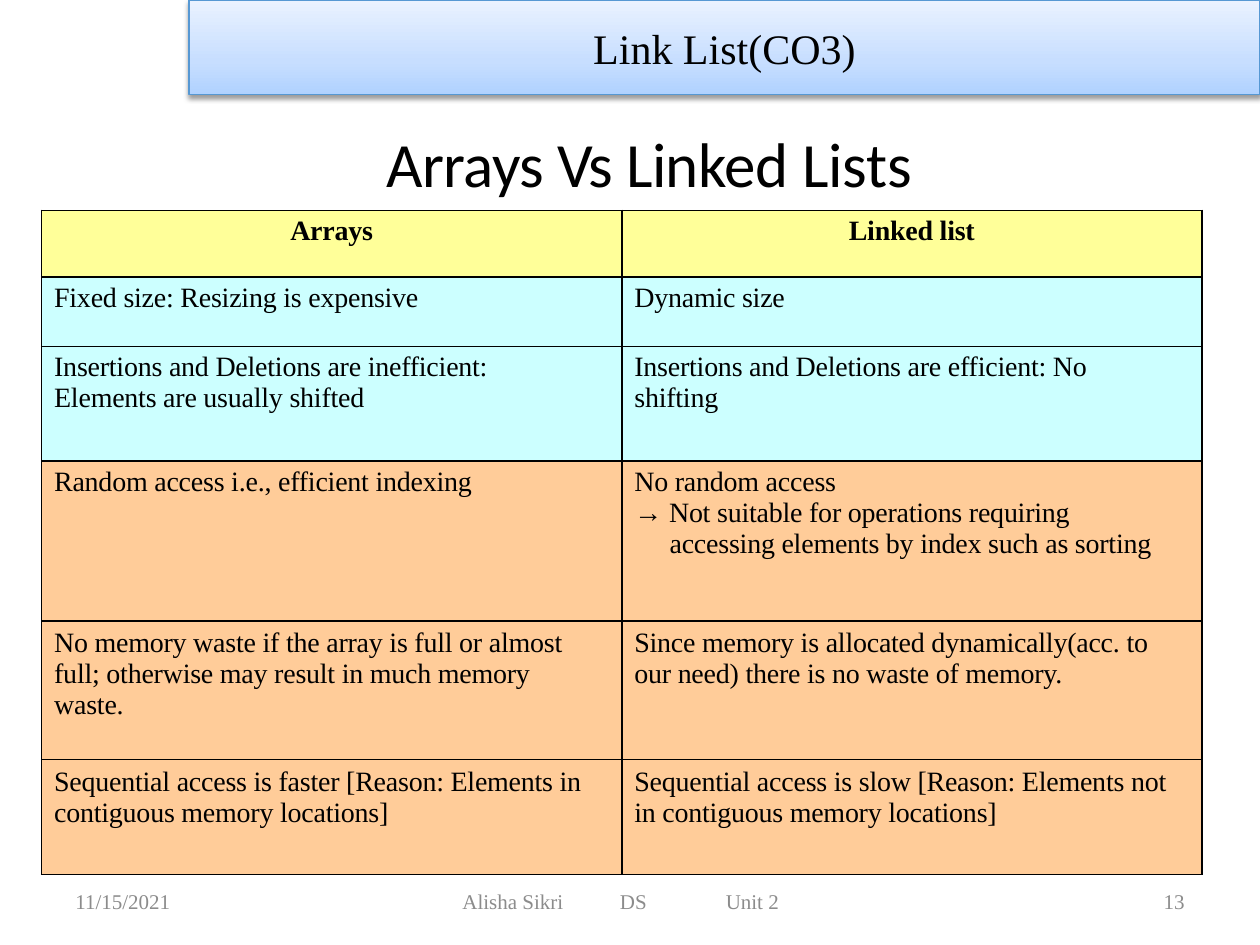
from copy import deepcopy
from dataclasses import dataclass
from pptx import Presentation
from pptx.dml.color import RGBColor
from pptx.enum.shapes import MSO_SHAPE
from pptx.enum.text import MSO_ANCHOR, MSO_AUTO_SIZE, PP_ALIGN
from pptx.oxml import parse_xml
from pptx.oxml.ns import nsdecls, qn
from pptx.util import Inches, Pt

WIDE, HIGH = 10, 7.5


@dataclass(frozen=True)
class Theme:
    """Colours, fonts and type sizes of the slide."""
    serif: str = "Times New Roman"
    sans: str = "Calibri"
    sign: str = "Arial"
    ink: str = "000000"
    grey: str = "8C8C8C"
    head: str = "FFFF99"
    good: str = "CCFFFF"
    warm: str = "FFCC99"
    edge: str = "5698D3"
    fade: tuple = ((0, "B0D2FF"), (0.35, "C7DEFF"), (1, "EAF2FF"))
    title: int = 36
    banner: int = 24
    body: int = 16
    foot: int = 12


THEME = Theme()
ROWS = [
    (0.53, THEME.head, "Arrays", "Linked list"),
    (0.55, THEME.good, "Fixed size: Resizing is expensive", "Dynamic size"),
    (0.91, THEME.good,
     "Insertions and Deletions are inefficient:\nElements are usually shifted",
     "Insertions and Deletions are efficient: No\nshifting"),
    (1.27, THEME.warm, "Random access i.e., efficient indexing",
     "No random access\n→ Not suitable for operations requiring "
     "accessing elements by index such as sorting"),
    (1.1, THEME.warm,
     "No memory waste if the array is full or almost full; "
     "otherwise may result in much memory waste.",
     "Since memory is allocated dynamically(acc. to our need) "
     "there is no waste of memory."),
    (0.91, THEME.warm,
     "Sequential access is faster [Reason: Elements in "
     "contiguous memory locations]",
     "Sequential access is slow [Reason: Elements not "
     "in contiguous memory locations]"),
]


def area(left, top, width, height):
    """Turn percentages of the slide into a frame."""
    return [Inches(part * side / 100) for part, side in
            zip((left, top, width, height), (WIDE, HIGH, WIDE, HIGH))]


def style(run, size, face=THEME.serif, ink=THEME.ink, bold=False, gap=0):
    """Format one run; gap is letter spacing in points."""
    font = run.font
    font.size, font.name, font.bold = Pt(size), face, bold
    font.color.rgb = RGBColor.from_string(ink)
    if gap:
        run._r.get_or_add_rPr().set("spc", str(round(gap * 100)))


def title(slide):
    """Place and format the title."""
    shape = slide.shapes.title
    shape.left, shape.top, shape.width, shape.height = area(20.8, 12.93, 61.5, 8.27)
    frame = shape.text_frame
    frame.margin_left = frame.margin_right = frame.margin_bottom = 0
    frame.margin_top = Inches(0.01)
    frame.vertical_anchor = MSO_ANCHOR.MIDDLE
    frame.auto_size = MSO_AUTO_SIZE.NONE
    para = frame.paragraphs[0]
    para.alignment, para.space_before = PP_ALIGN.CENTER, Pt(1)
    for word, gap in (("Arrays ", -0.4), ("Vs ", -1), ("Linked ", -0.3), ("Lists", -0.1)):
        run = para.add_run()
        run.text = word
        style(run, THEME.title, THEME.sans, gap=gap)


def border(cell):
    """Draw thin lines on all four sides of a cell."""
    props = cell._tc.get_or_add_tcPr()
    for spot, side in enumerate("LRTB"):
        props.insert(spot, parse_xml(
            f'<a:ln{side} {nsdecls("a")} w="12700"><a:solidFill>'
            f'<a:srgbClr val="{THEME.ink}"/></a:solidFill></a:ln{side}>'))


def hang(para, left, first=0):
    """Indent a paragraph, in inches."""
    props = para._p.get_or_add_pPr()
    props.set("marL", str(Inches(left)))
    props.set("indent", str(Inches(first)))


def fill(cell, text, tint, top):
    """Write and colour one table cell."""
    head = top == 0
    cell.fill.solid()
    cell.fill.fore_color.rgb = RGBColor.from_string(tint)
    border(cell)
    cell.margin_left = cell.margin_bottom = 0
    cell.margin_right = 0 if head else Inches(0.2)
    cell.margin_top = Inches(0.04 if top < 4 else 0.05)
    frame = cell.text_frame
    frame.text = text
    for spot, para in enumerate(frame.paragraphs):
        if spot == 0:
            para.space_before = Pt(3.2)
        if head:
            para.alignment = PP_ALIGN.CENTER
        elif para.text.startswith("→"):
            hang(para, 0.38, -0.28)
            rest = para.text[1:]
            para.text = "→"
            para.add_run().text = rest
        else:
            hang(para, 0.1)
        for run in para.runs:
            face = THEME.sign if run.text == "→" else THEME.serif
            style(run, THEME.body, face, bold=head, gap=-0.1)


def grid(slide):
    """Build the comparison table."""
    table = slide.shapes.add_table(len(ROWS), 2, *area(3.3, 22.27, 92.1, 70.27)).table
    table.first_row = table.horz_banding = False
    for top, (height, tint, *texts) in enumerate(ROWS):
        table.rows[top].height = Inches(height)
        for side, text in enumerate(texts):
            fill(table.cell(top, side), text, tint, top)


def note(slide, text, left, width, align=PP_ALIGN.LEFT, inset=0.1, tabs=()):
    """Add one footer text, with tab stops in inches."""
    frame = slide.shapes.add_textbox(*area(left, 92.67, width, 5.33)).text_frame
    frame.word_wrap, frame.vertical_anchor = True, MSO_ANCHOR.MIDDLE
    frame.margin_left = Inches(inset)
    frame.text = text
    para = frame.paragraphs[0]
    para.alignment = align
    if tabs:
        stops = "".join(f'<a:tab pos="{Inches(tab)}" algn="l"/>' for tab in tabs)
        para._p.get_or_add_pPr().append(
            parse_xml(f'<a:tabLst {nsdecls("a")}>{stops}</a:tabLst>'))
    for run in para.runs:
        style(run, THEME.foot, ink=THEME.grey)


def banner(slide, text):
    """Add the shaded bar at the top."""
    shape = slide.shapes.add_shape(MSO_SHAPE.RECTANGLE, *area(15, 0, 85, 10))
    shape.fill.gradient()
    shape.fill.gradient_angle = 90
    props = shape._element.spPr
    stops = props.find(qn("a:gradFill")).find(qn("a:gsLst"))
    stops.insert(1, deepcopy(stops[0]))
    for stop, (spot, tint) in zip(shape.fill.gradient_stops, THEME.fade):
        stop.position = spot
        stop.color.rgb = RGBColor.from_string(tint)
    shape.line.color.rgb = RGBColor.from_string(THEME.edge)
    shape.line.width = Pt(0.75)
    shape.shadow.inherit = False
    props.find(qn("a:effectLst")).append(parse_xml(
        f'<a:outerShdw {nsdecls("a")} blurRad="{Pt(3.1)}" dist="{Pt(1.6)}" '
        f'dir="5400000" rotWithShape="0"><a:srgbClr val="{THEME.ink}">'
        '<a:alpha val="38000"/></a:srgbClr></a:outerShdw>'))
    frame = shape.text_frame
    frame.text = text
    frame.vertical_anchor = MSO_ANCHOR.MIDDLE
    frame.paragraphs[0].alignment = PP_ALIGN.CENTER
    style(frame.paragraphs[0].runs[0], THEME.banner)


def main():
    """Build and save the slide."""
    deck = Presentation()
    deck.slide_width, deck.slide_height = Inches(WIDE), Inches(HIGH)
    slide = deck.slides.add_slide(deck.slide_layouts[5])
    title(slide)
    grid(slide)
    note(slide, "11/15/2021", 5, 23.3)
    note(slide, "Alisha Sikri\tDS\tUnit 2", 34.2, 40.2, inset=0.25, tabs=(1.25, 2.09))
    note(slide, "13", 71.7, 23.3, PP_ALIGN.RIGHT)
    banner(slide, "Link List(CO3)")
    deck.save("out.pptx")


main()
